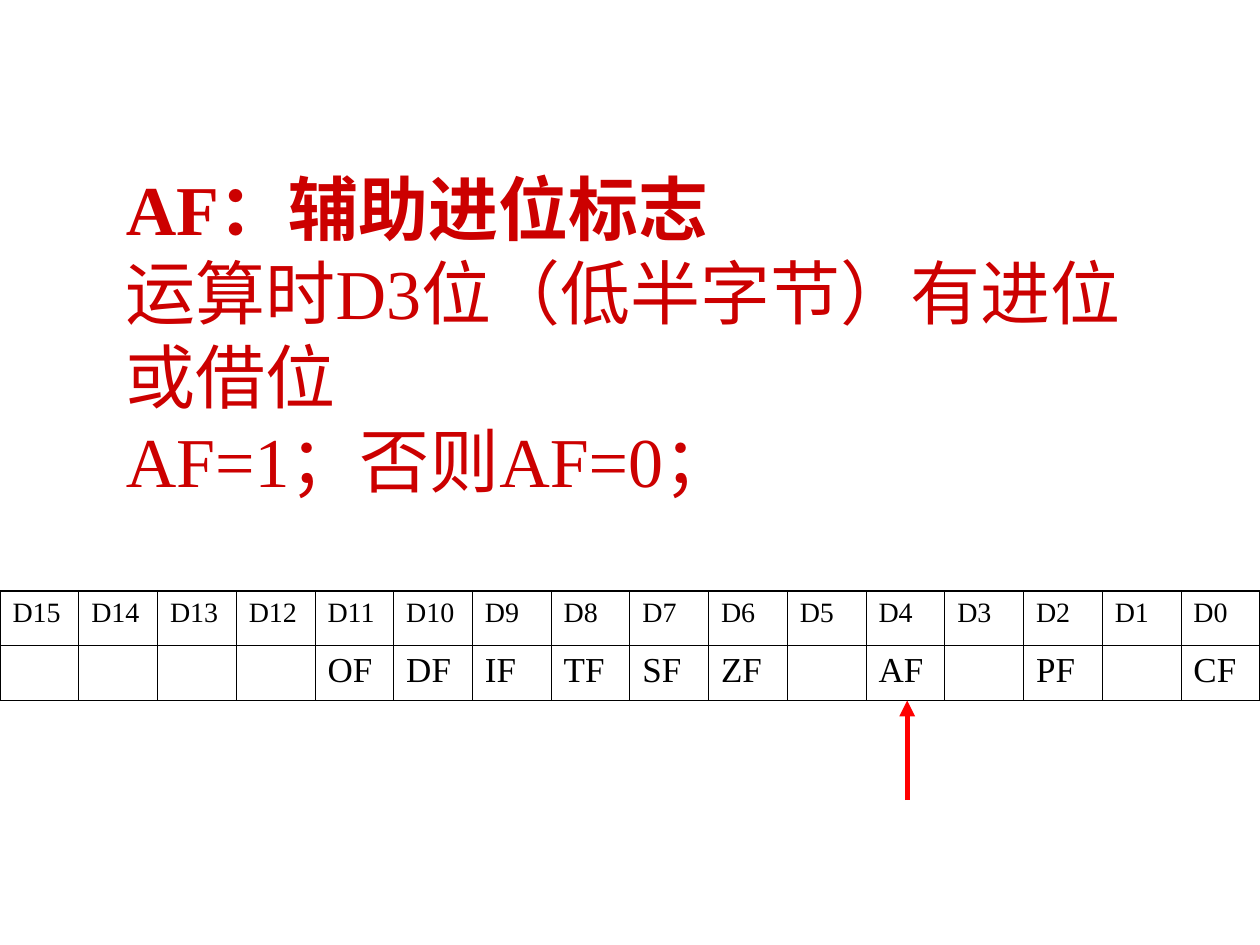
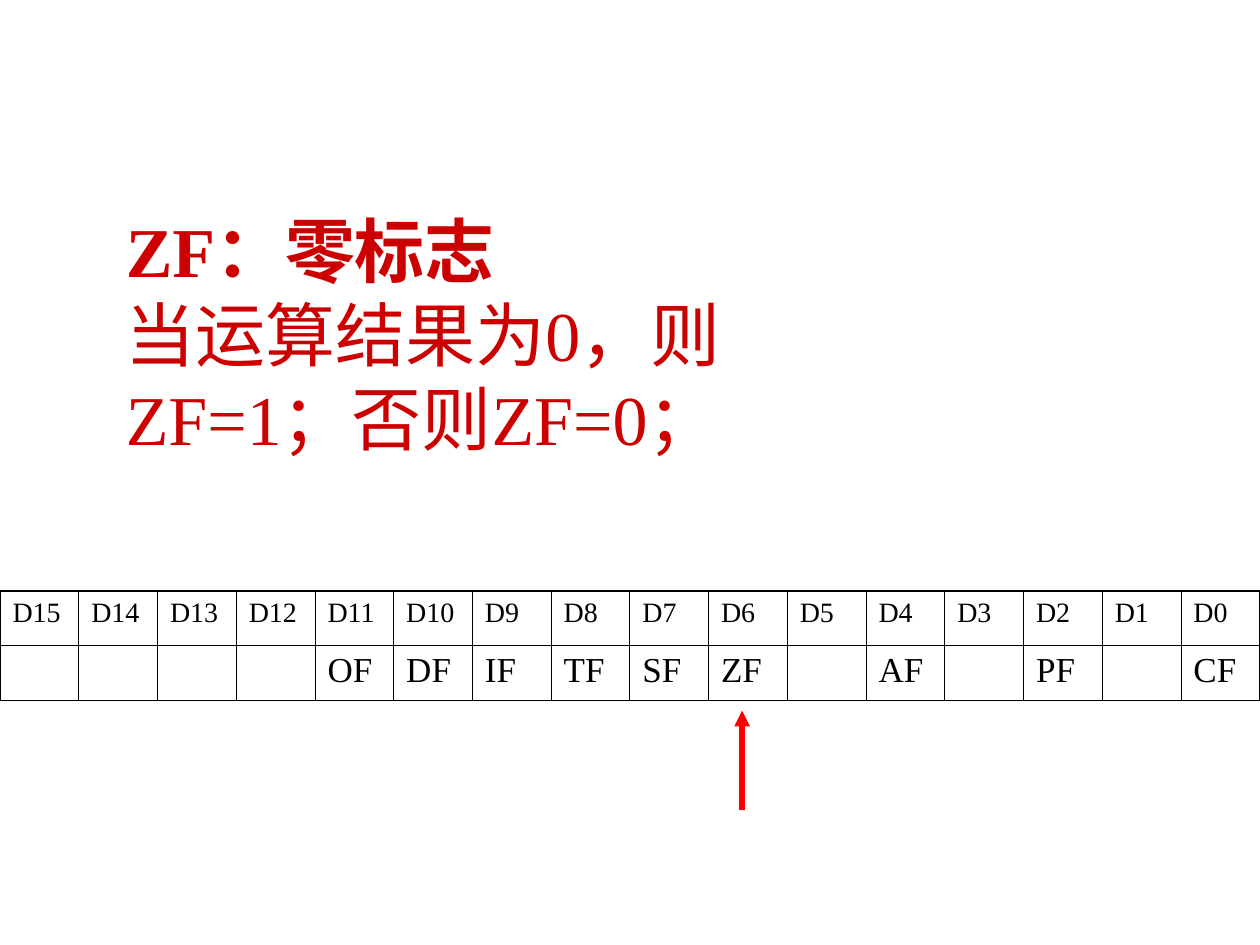
from dataclasses import dataclass

from lxml.etree import SubElement
from pptx import Presentation
from pptx.dml.color import RGBColor as Color
from pptx.enum.shapes import MSO_CONNECTOR as Connector
from pptx.enum.text import MSO_ANCHOR as Anchor, MSO_AUTO_SIZE as AutoSize
from pptx.oxml.ns import qn
from pptx.util import Inches, Pt


@dataclass(frozen=True)
class Theme:
    """Colours, font, type sizes and line widths of the deck."""
    font: str = "Times New Roman"
    title: str = "CC0000"
    arrow: str = "FF0000"
    ink: str = "000000"
    paper: str = "FFFFFF"
    title_size: int = 40
    bit_size: int = 16
    flag_size: int = 20
    arrow_width: float = 3
    outer_rule: float = 1.08
    inner_rule: float = 0.45


THEME = Theme()
TITLE_BOX = (0.9, 2.02, 8.5, 1.25)
REGISTER_BOX = (0, 4.69, 10, 0.87)
ARROW_LENGTH = 0.79
BITS = [f"D{bit}" for bit in reversed(range(16))]
FLAGS = {"D11": "OF", "D10": "DF", "D9": "IF", "D8": "TF", "D7": "SF",
         "D6": "ZF", "D4": "AF", "D2": "PF", "D0": "CF"}
FLAG_PAGES = [
    (["AF：辅助进位标志", "运算时D3位（低半字节）有进位或借位", "AF=1；否则AF=0；"], (7.2, 5.56)),
    (["ZF：零标志", "当运算结果为0，则", "ZF=1；否则ZF=0；"], (5.89, 5.64)),
]


def style_font(font, size, color):
    """Apply the deck's typeface with a size and colour."""
    font.name = THEME.font
    font.size = Pt(size)
    font.color.rgb = Color.from_string(color)


def add_title(page, box, lines):
    """Write the bold flag name with its rule on the lines below."""
    shape = page.shapes.add_textbox(*map(Inches, box))
    frame = shape.text_frame
    frame.word_wrap = True
    frame.auto_size = AutoSize.NONE
    frame.vertical_anchor = Anchor.MIDDLE
    para = frame.paragraphs[0]
    style_font(para.font, THEME.title_size, THEME.title)
    for index, line in enumerate(lines):
        if index:
            para.add_line_break()
        span = para.add_run()
        span.text = line
        style_font(span.font, THEME.title_size, THEME.title)
        span.font.bold = index == 0


def rule_cell(cell, outer_sides):
    """Draw the four borders of a cell, heavier on the table's outside."""
    properties = cell._tc.get_or_add_tcPr()
    for side in "LRTB":
        width = THEME.outer_rule if side in outer_sides else THEME.inner_rule
        line = SubElement(properties, qn(f"a:ln{side}"), w=str(Pt(width)))
        fill = SubElement(line, qn("a:solidFill"))
        SubElement(fill, qn("a:srgbClr"), val=THEME.ink)


def add_register(page, box, bits, flags):
    """Lay out the flag register: bit numbers above flag names."""
    left, top, width, height = map(Inches, box)
    table = page.shapes.add_table(2, len(bits), left, top, width, height).table
    table.first_row = table.horz_banding = False
    for column in table.columns:
        column.width = width // len(bits)
    table.rows[0].height = Inches(0.43)
    table.rows[1].height = height - Inches(0.43)
    rows = [
        (bits, THEME.bit_size, 4, "T"),
        ([flags.get(bit, "") for bit in bits], THEME.flag_size, 5, "B"),
    ]
    for row, (labels, size, space, edge) in enumerate(rows):
        for column, label in enumerate(labels):
            cell = table.cell(row, column)
            ends = {0: "L", len(bits) - 1: "R"}
            rule_cell(cell, edge + ends.get(column, ""))
            cell.fill.solid()
            cell.fill.fore_color.rgb = Color.from_string(THEME.paper)
            cell.text = label
            para = cell.text_frame.paragraphs[0]
            if label:
                para.space_before = Pt(space)
            style_font(para.font, size, THEME.ink)


def add_pointer(page, tip, length):
    """Draw an upward arrow that ends at the tip."""
    x, y = map(Inches, tip)
    arrow = page.shapes.add_connector(Connector.STRAIGHT, x, y + Inches(length), x, y)
    arrow.line.color.rgb = Color.from_string(THEME.arrow)
    arrow.line.width = Pt(THEME.arrow_width)
    SubElement(arrow.line._get_or_add_ln(), qn("a:tailEnd"), type="triangle")
    SubElement(arrow._element.spPr, qn("a:effectLst"))


def add_flag_page(deck, lines, tip):
    """Build one slide that explains a flag and points at its bit."""
    page = deck.slides.add_slide(deck.slide_layouts[6])
    add_title(page, TITLE_BOX, lines)
    add_register(page, REGISTER_BOX, BITS, FLAGS)
    add_pointer(page, tip, ARROW_LENGTH)


def main():
    """Build and save the deck."""
    deck = Presentation()
    deck.slide_width, deck.slide_height = Inches(10), Inches(7.5)
    for lines, tip in FLAG_PAGES:
        add_flag_page(deck, lines, tip)
    deck.save("out.pptx")


if __name__ == "__main__":
    main()
